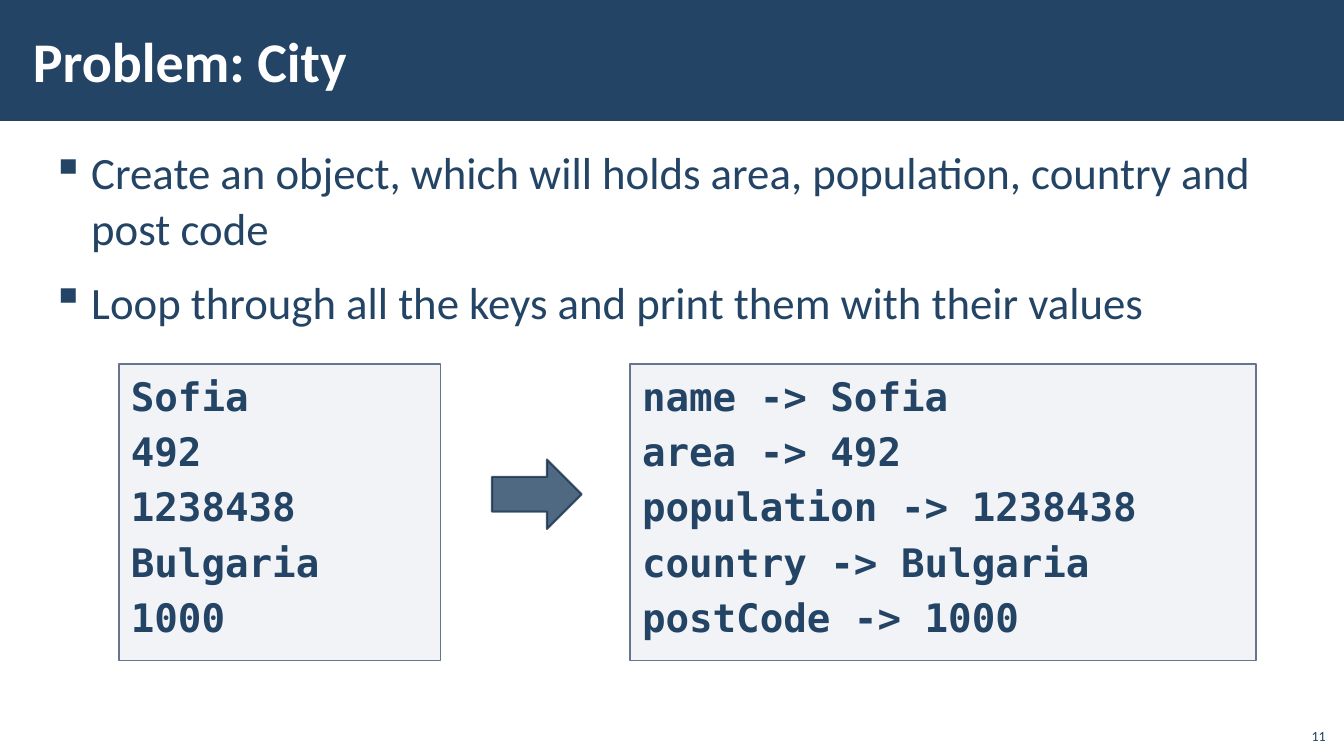
from lxml import etree
from pptx import Presentation
from pptx.dml.color import RGBColor
from pptx.enum.shapes import MSO_SHAPE
from pptx.enum.text import MSO_ANCHOR, PP_ALIGN
from pptx.oxml.ns import qn
from pptx.util import Cm, Pt

RECTANGLE = MSO_SHAPE.RECTANGLE
RIGHT_ARROW = MSO_SHAPE.RIGHT_ARROW
TOP, MIDDLE, BOTTOM = MSO_ANCHOR.TOP, MSO_ANCHOR.MIDDLE, MSO_ANCHOR.BOTTOM
LEFT, RIGHT = PP_ALIGN.LEFT, PP_ALIGN.RIGHT
TITLE_ONLY = 5
SLIDE_WIDTH, SLIDE_HEIGHT = 33.87, 19.05
BODY_FONT, CODE_FONT = "Calibri", "DejaVu Sans Mono"
COLORS = {
    "navy": "234465",
    "white": "FFFFFF",
    "panel": "ADB4C3",
    "panel_edge": "67748E",
    "arrow_edge": "1A334C",
}
GOALS = [
    "Create an object, which will holds area, population, country and \vpost code",
    "Loop through all the keys and print them with their values",
]
CITY = {
    "name": "Sofia",
    "area": "492",
    "population": "1238438",
    "country": "Bulgaria",
    "postCode": "1000",
}


def color(name):
    return RGBColor.from_string(COLORS[name])


def set_opacity(color_format, percent):
    tint = color_format._xFill.find(qn("a:srgbClr"))
    etree.SubElement(tint, qn("a:alpha"), val=str(percent * 1000))


def add_box(slide, preset, box, fill, edge=None, width=1, opacity=100, edge_opacity=100):
    shape = slide.shapes.add_shape(preset, *map(Cm, box))
    shape.shadow.inherit = False
    shape.fill.solid()
    shape.fill.fore_color.rgb = color(fill)
    set_opacity(shape.fill.fore_color, opacity)
    if edge:
        shape.line.color.rgb = color(edge)
        shape.line.width = Pt(width)
        set_opacity(shape.line.color, edge_opacity)
    else:
        shape.line.fill.background()
    return shape


def write(shape, lines, size, font=BODY_FONT, ink="navy", bold=False,
          anchor=TOP, align=LEFT, margins=(0.3, 0.1)):
    frame = shape.text_frame
    frame.word_wrap = True
    frame.vertical_anchor = anchor
    frame.margin_left = frame.margin_right = Cm(margins[0])
    frame.margin_top = frame.margin_bottom = Cm(margins[1])
    frame.text = "\n".join(lines)
    for paragraph in frame.paragraphs:
        paragraph.alignment = align
        for run in paragraph.runs:
            run.font.size = Pt(size)
            run.font.name = font
            run.font.bold = bold
            run.font.color.rgb = color(ink)
    return frame.paragraphs


def add_header(slide, box, heading):
    left, top, width, height = box
    band = add_box(slide, RECTANGLE, box, "navy")
    title = slide.shapes.title
    title._element.addprevious(band._element)
    title.left, title.top = Cm(left + 0.53), Cm(top + 0.28)
    title.width, title.height = Cm(width - 6.87), Cm(height - 0.58)
    write(title, [heading], 40, ink="white", bold=True, anchor=MIDDLE)


def add_goals(slide, box, goals):
    body = slide.shapes.add_textbox(*map(Cm, box))
    for paragraph in write(body, goals, 32):
        paragraph.line_spacing = 1.05
        paragraph.space_before = paragraph.space_after = Pt(6)
        properties = paragraph._p.get_or_add_pPr()
        properties.set("marL", str(Cm(1)))
        properties.set("indent", str(-Cm(1)))
        etree.SubElement(properties, qn("a:buChar"), char="▪")


def add_code(slide, box, lines):
    panel = add_box(slide, RECTANGLE, box, "panel", "panel_edge", opacity=15)
    for paragraph in write(panel, lines, 28, CODE_FONT, bold=True, margins=(0.3, 0.2)):
        paragraph.space_before = Pt(6)


def add_example(slide, box, city):
    left, top, width, height = box
    input_width, output_width = 8.1, 15.77
    add_code(slide, (left, top, input_width, height), city.values())
    add_code(slide, (left + width - output_width, top, output_width, height),
             [f"{key} -> {value}" for key, value in city.items()])
    add_box(slide, RIGHT_ARROW, (left + 9.4, top + 2.41, 2.26, 1.75),
            "navy", "arrow_edge", 1.5, 80, 80)


def add_page_number(slide, box, number):
    corner = slide.shapes.add_textbox(*map(Cm, box))
    write(corner, [str(number)], 10, anchor=BOTTOM, align=RIGHT, margins=(0.25, 0.13))


def main():
    presentation = Presentation()
    presentation.slide_width = Cm(SLIDE_WIDTH)
    presentation.slide_height = Cm(SLIDE_HEIGHT)
    slide = presentation.slides.add_slide(presentation.slide_layouts[TITLE_ONLY])
    slide.background.fill.solid()
    slide.background.fill.fore_color.rgb = color("white")
    add_header(slide, (0, 0, SLIDE_WIDTH, 3.05), "Problem: City")
    add_goals(slide, (1, 3.48, 31.9, 5.72), GOALS)
    add_example(slide, (3, 9.17, 28.65, 7.48), CITY)
    add_page_number(slide, (32.64, 18.08, 1.02, 0.81), 11)
    presentation.save("out.pptx")


if __name__ == "__main__":
    main()
